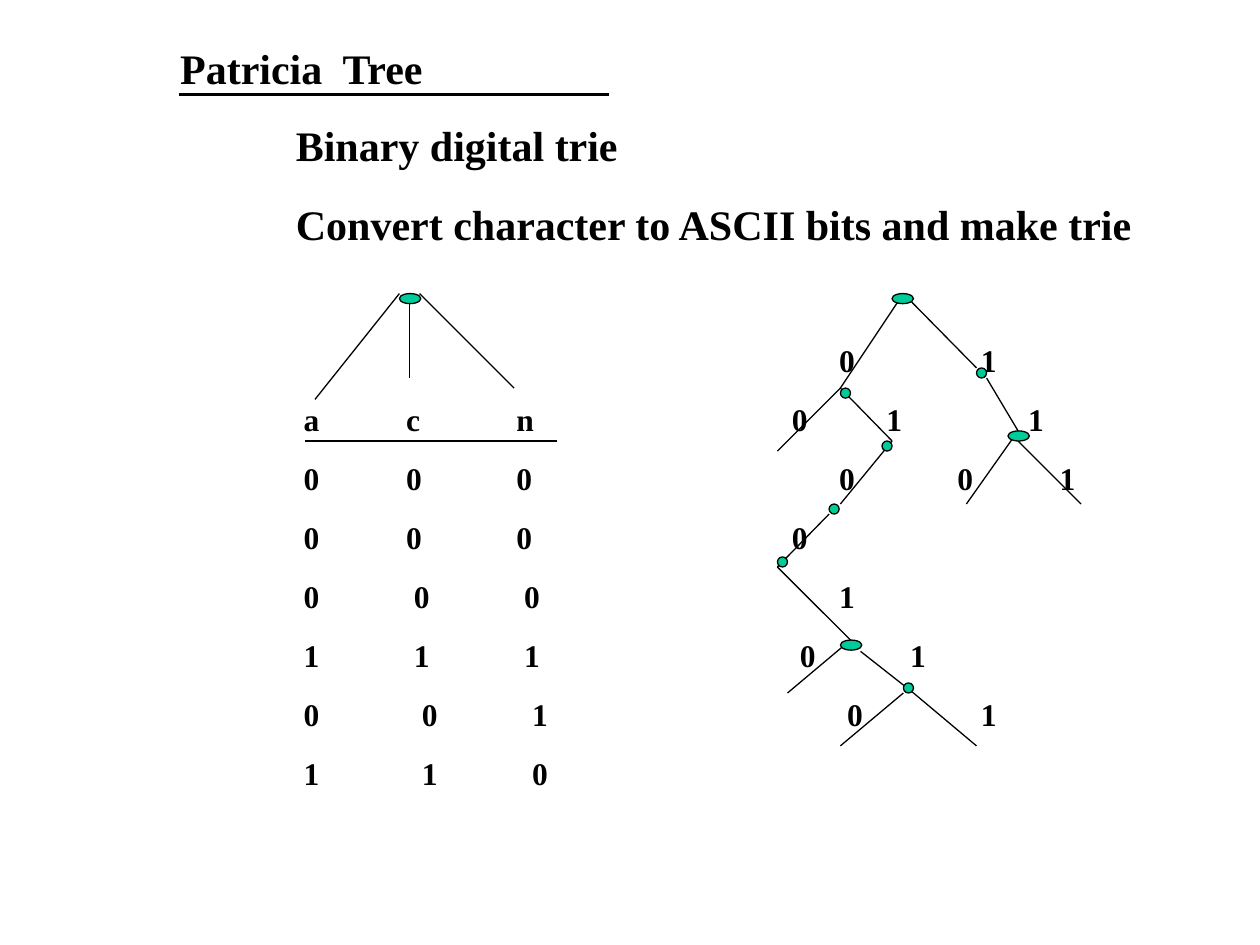
"""Build a slide that turns characters into ASCII bits and a binary digital trie."""
from lxml import etree
from pptx import Presentation
from pptx.dml.color import RGBColor
from pptx.enum import shapes, text
from pptx.oxml import ns
from pptx.util import Inches, Pt

BLACK = RGBColor(0x00, 0x00, 0x00)
GREEN = RGBColor(0x00, 0xCC, 0x99)
FONT = "Times New Roman"
SLOTS_PER_INCH = 16
NODE = 0.08
BRANCHING_WIDTH = 0.17

HEADINGS = ["Binary digital trie", "Convert character to ASCII bits and make trie"]

BIT_ROWS = [
    [(105, "0"), (123, "1")],
    [(37, "a"), (50, "c"), (64, "n"), (99, "0"), (111, "1"), (129, "1")],
    [(37, "0"), (50, "0"), (64, "0"), (105, "0"), (120, "0"), (133, "1")],
    [(37, "0"), (50, "0"), (64, "0"), (99, "0")],
    [(37, "0"), (51, "0"), (65, "0"), (105, "1")],
    [(37, "1"), (51, "1"), (65, "1"), (100, "0"), (114, "1")],
    [(37, "0"), (52, "0"), (66, "1"), (106, "0"), (123, "1")],
    [(37, "1"), (52, "1"), (66, "0")],
]

BINARY_EDGES = [
    (7.17, 2.33, 6.67, 3.08), (6.67, 3.08, 6.17, 3.58),
    (6.67, 3.08, 7.08, 3.5), (7.08, 3.5, 6.67, 4),
    (6.58, 4.08, 6.17, 4.5), (6.17, 4.5, 6.75, 5.08),
    (6.75, 5.08, 6.25, 5.5), (6.83, 5.17, 7.25, 5.5),
    (7.17, 5.5, 6.67, 5.92), (7.25, 5.5, 7.75, 5.92),
    (7.17, 2.33, 7.75, 2.92), (7.83, 3, 8.08, 3.42),
    (8.08, 3.42, 7.67, 4), (8.08, 3.5, 8.58, 4),
]
CHARACTER_EDGES = [
    (3.17, 2.33, 2.5, 3.17), (3.25, 2.33, 3.25, 3), (3.33, 2.33, 4.08, 3.08),
]
BITS_RULE = (2.42, 3.5, 4.42, 3.5)
TITLE_RULE = (1.42, 0.75, 4.83, 0.75)

SINGLE_NODES = [
    (6.67, 3.08), (7.75, 2.92), (7, 3.5), (6.58, 4), (6.17, 4.42), (7.17, 5.42),
]
BRANCHING_NODES = [(8, 3.42), (6.67, 5.08), (7.08, 2.33), (3.17, 2.33)]


def style_paragraph(paragraph, size, space_before=0):
    """Make a paragraph bold, black and left-aligned."""
    paragraph.alignment = text.PP_ALIGN.LEFT
    paragraph.space_before = Pt(space_before)
    for run in paragraph.runs:
        run.font.name = FONT
        run.font.size = Pt(size)
        run.font.bold = True
        run.font.color.rgb = BLACK


def add_title(slide, wording):
    """Place the slide title."""
    title = slide.shapes.title
    title.left, title.top = Inches(1.33), Inches(0.29)
    title.width, title.height = Inches(3.5), Inches(0.5)
    frame = title.text_frame
    frame.text = wording
    frame.vertical_anchor = text.MSO_ANCHOR.TOP
    style_paragraph(frame.paragraphs[0], 24)


def add_paragraphs(slide, box, lines, size, space_before):
    """Add a text box with one paragraph per line and return the paragraphs."""
    frame = slide.shapes.add_textbox(*map(Inches, box)).text_frame
    frame.word_wrap = True
    frame.text = "\n".join(lines)
    for paragraph in frame.paragraphs:
        style_paragraph(paragraph, size, space_before)
    return frame.paragraphs


def set_tabs(paragraph, slots):
    """Give a paragraph left tab stops at the given slots."""
    properties = paragraph._p.get_or_add_pPr()
    tabs = etree.SubElement(properties, ns.qn("a:tabLst"))
    for slot in slots:
        position = Inches(slot / SLOTS_PER_INCH)
        etree.SubElement(tabs, ns.qn("a:tab"), pos=str(position), algn="l")


def add_bits(slide):
    """Add the character bits and the branch labels, row by row."""
    lines = ["".join("\t" + bit for _, bit in row) for row in BIT_ROWS]
    paragraphs = add_paragraphs(slide, (0, 2.66, 10, 3.7), lines, 18, 12.1)
    for paragraph, row in zip(paragraphs, BIT_ROWS):
        set_tabs(paragraph, [slot for slot, _ in row])


def add_line(slide, ends, weight=0.75):
    """Draw a straight black line."""
    line = slide.shapes.add_connector(
        shapes.MSO_CONNECTOR.STRAIGHT, *map(Inches, ends))
    line.line.color.rgb = BLACK
    line.line.width = Pt(weight)
    etree.SubElement(line._element.spPr, ns.qn("a:effectLst"))


def add_node(slide, left, top, width=NODE):
    """Draw a trie node."""
    node = slide.shapes.add_shape(
        shapes.MSO_SHAPE.OVAL, *map(Inches, (left, top, width, NODE)))
    node.shadow.inherit = False
    node.fill.solid()
    node.fill.fore_color.rgb = GREEN
    node.line.color.rgb = BLACK
    node.line.width = Pt(0.75)


def main():
    """Build and save the slide."""
    deck = Presentation()
    deck.slide_width, deck.slide_height = Inches(10), Inches(7.5)
    slide = deck.slides.add_slide(deck.slide_layouts[5])
    add_title(slide, "Patricia  Tree")
    add_paragraphs(slide, (2.25, 0.9, 7.6, 1.1), HEADINGS, 24, 16.4)
    add_bits(slide)
    for ends in BINARY_EDGES + CHARACTER_EDGES + [BITS_RULE]:
        add_line(slide, ends)
    for left, top in SINGLE_NODES:
        add_node(slide, left, top)
    for left, top in BRANCHING_NODES:
        add_node(slide, left, top, BRANCHING_WIDTH)
    add_line(slide, TITLE_RULE, 2.25)
    deck.save("out.pptx")


if __name__ == "__main__":
    main()
